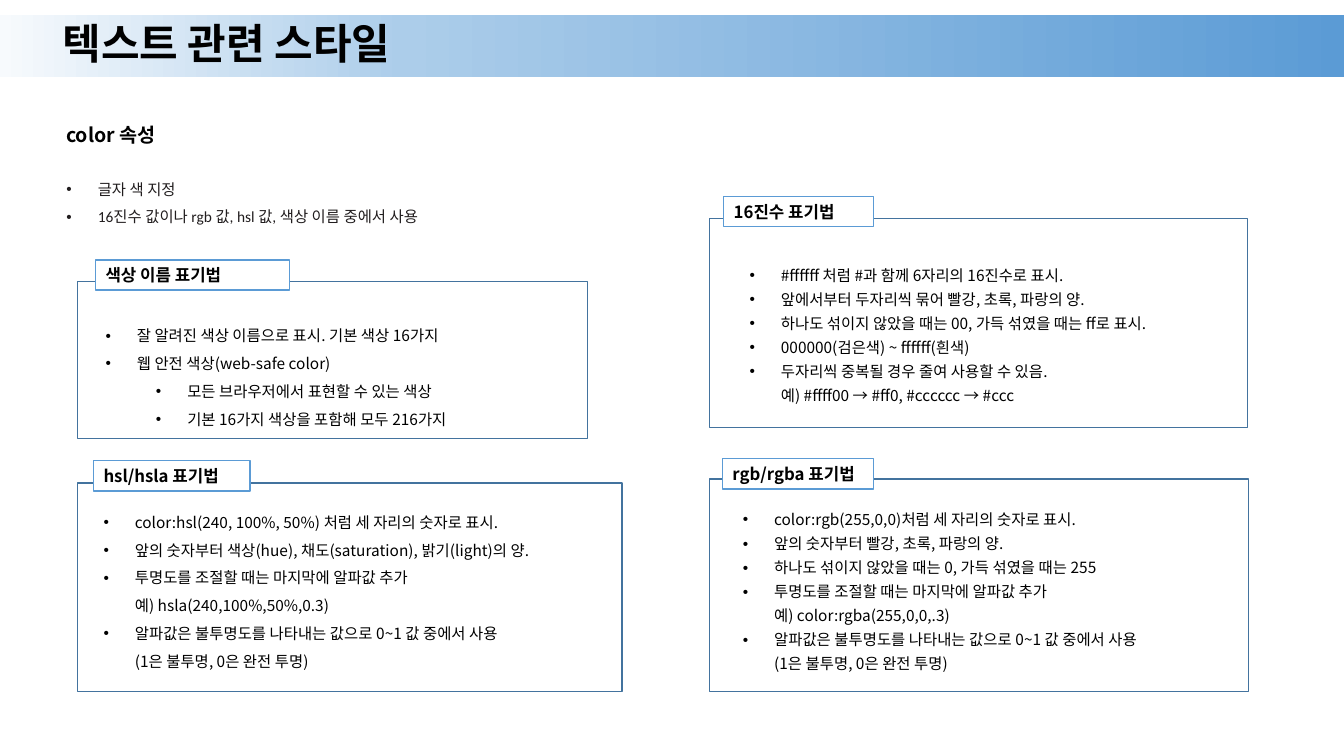
from copy import deepcopy

from lxml.etree import SubElement
from pptx import Presentation
from pptx.dml.color import RGBColor as Rgb
from pptx.enum.shapes import MSO_SHAPE as Shape
from pptx.enum.text import MSO_ANCHOR as Anchor, MSO_AUTO_SIZE as AutoSize, PP_ALIGN as Align
from pptx.oxml.ns import qn
from pptx.util import Cm, Pt

COLORS = {
    "text": "000000", "intro": "211D1E", "paper": "FFFFFF",
    "frame": "43739E", "label": "5B9BD5",
}
BAND_STOPS = [(0, "F7FAFD"), (0.3, "ACCDEA"), (1, "5B9BD5")]
KOREAN = "Noto Sans CJK KR"
INDENT, LEVEL_STEP = 0.79, 1.27

# Each panel: frame, label and list positions (cm), line spacing, wording
PANELS = [
    dict(frame=(17.88, 12.07, 13.59, 5.36), label=(18.21, 11.56, 3.81, 0.76),
         body=(18.47, 12.6, 12.78, 4.47), spacing=1.3, heading="rgb/rgba 표기법",
         items=["color:rgb(255,0,0)처럼 세 자리의 숫자로 표시.",
                "앞의 숫자부터 빨강, 초록, 파랑의 양.",
                "하나도 섞이지 않았을 때는 0, 가득 섞였을 때는 255",
                "투명도를 조절할 때는 마지막에 알파값 추가\n예) color:rgba(255,0,0,.3)",
                "알파값은 불투명도를 나타내는 값으로 0~1 값 중에서 사용\n(1은 불투명, 0은 완전 투명)"]),
    dict(frame=(1.96, 12.17, 13.72, 5.26), label=(2.36, 11.61, 3.94, 0.76),
         body=(2.36, 12.57, 13.72, 4.39), spacing=1.5, heading="hsl/hsla 표기법",
         items=["color:hsl(240, 100%, 50%) 처럼 세 자리의 숫자로 표시.",
                "앞의 숫자부터 색상(hue), 채도(saturation), 밝기(light)의 양.",
                "투명도를 조절할 때는 마지막에 알파값 추가\n예) hsla(240,100%,50%,0.3)",
                "알파값은 불투명도를 나타내는 값으로 0~1 값 중에서 사용\n(1은 불투명, 0은 완전 투명)"]),
    dict(frame=(17.88, 5.51, 13.56, 5.26), label=(18.24, 4.95, 3.78, 0.76),
         body=(18.64, 6.43, 12.52, 3.86), spacing=1.3, heading="16진수 표기법",
         items=["#ffffff 처럼 #과 함께 6자리의 16진수로 표시.",
                "앞에서부터 두자리씩 묶어 빨강, 초록, 파랑의 양.",
                "하나도 섞이지 않았을 때는 00, 가득 섞였을 때는 ff로 표시.",
                "000000(검은색) ~ ffffff(흰색)",
                "두자리씩 중복될 경우 줄여 사용할 수 있음.\n예) #ffff00 → #ff0, #cccccc → #ccc"]),
    dict(frame=(1.96, 7.09, 12.85, 3.96), label=(2.41, 6.55, 4.88, 0.76),
         body=(2.41, 7.87, 11.96, 2.95), spacing=1.5, heading="색상 이름 표기법",
         items=["잘 알려진 색상 이름으로 표시. 기본 색상 16가지",
                "웹 안전 색상(web-safe color)",
                ("모든 브라우저에서 표현할 수 있는 색상", 1),
                ("기본 16가지 색상을 포함해 모두 216가지", 1)]),
]


def write(para, text, size=11, font=KOREAN, color="text", bold=False, spacing=1.0, level=None):
    """Fill a paragraph; a level makes it a bulleted list item."""
    para.alignment = Align.LEFT
    para.line_spacing = spacing
    para.space_before = para.space_after = Pt(0)
    if level is not None:
        para.level = level
        props = para._p.get_or_add_pPr()
        props.set("marL", str(Cm(INDENT + level * LEVEL_STEP)))
        props.set("indent", str(-Cm(INDENT)))
        SubElement(props, qn("a:buFont"), typeface="Arial")
        SubElement(props, qn("a:buChar"), char="•")
    for number, line in enumerate(text.split("\n")):
        if number:
            para.add_line_break()
        span = para.add_run()
        span.text = line
        span.font.size, span.font.bold, span.font.name = Pt(size), bold, font
        span.font.color.rgb = Rgb.from_string(COLORS[color])
        SubElement(span._r.get_or_add_rPr(), qn("a:ea"), typeface=KOREAN)


class Page:
    """The current slide and the style of its elements."""

    def __init__(self, deck):
        self.slide = deck.slides.add_slide(deck.slide_layouts[1])
        self.shapes = self.slide.shapes

    def place(self, box, at):
        box.left, box.top, box.width, box.height = map(Cm, at)

    def band(self, at):
        band = self.shapes.add_shape(Shape.RECTANGLE, *map(Cm, at))
        band.shadow.inherit = False
        band.line.fill.background()
        band.fill.gradient()
        band.fill.gradient_angle = 0
        first = band.fill.gradient_stops[0]._gs
        first.addnext(deepcopy(first))
        for stop, (position, color) in zip(band.fill.gradient_stops, BAND_STOPS):
            stop.position = position
            stop.color.rgb = Rgb.from_string(color)
        self.shapes._spTree.insert(2, band._element)

    def title(self, at, text):
        title = self.shapes.title
        self.place(title, at)
        title.text_frame.auto_size = AutoSize.NONE
        title.text_frame.vertical_anchor = Anchor.MIDDLE
        write(title.text_frame.paragraphs[0], text, size=30, font="Arial", bold=True, spacing=0.9)

    def text_box(self, at, parent=None):
        box = (parent or self.shapes).add_textbox(*map(Cm, at))
        box.text_frame.word_wrap = True
        return box.text_frame

    def fill_list(self, frame, items, **style):
        for number, item in enumerate(items):
            text, level = item if isinstance(item, tuple) else (item, 0)
            para = frame.add_paragraph() if number else frame.paragraphs[0]
            write(para, text, level=level, **style)

    def intro(self, at, items):
        body = self.slide.placeholders[1]
        self.place(body, at)
        body.text_frame.auto_size = AutoSize.NONE
        self.fill_list(body.text_frame, items, font="Calibri", color="intro", spacing=1.5)

    def rectangle(self, parent, at, line, fill=None):
        box = parent.add_shape(Shape.RECTANGLE, *map(Cm, at))
        box.shadow.inherit = False
        box.line.color.rgb = Rgb.from_string(COLORS[line])
        box.line.width = Pt(1)
        if fill:
            box.fill.solid()
            box.fill.fore_color.rgb = Rgb.from_string(COLORS[fill])
        else:
            box.fill.background()
        return box

    def panel(self, frame, label, body, spacing, heading, items):
        group = self.shapes.add_group_shape().shapes
        self.rectangle(group, frame, "frame")
        tag = self.rectangle(group, label, "label", "paper").text_frame
        tag.vertical_anchor = Anchor.MIDDLE
        write(tag.paragraphs[0], heading, size=12, bold=True)
        self.fill_list(self.text_box(body, group), items, spacing=spacing)


def main():
    deck = Presentation()
    deck.slide_width, deck.slide_height = Cm(33.87), Cm(19.05)
    page = Page(deck)

    # Heading
    page.band((0, 0.38, 33.87, 1.56))
    page.title((1.32, 0.38, 25.25, 1.57), "텍스트 관련 스타일")

    # Introduction
    subtitle = page.text_box((1.42, 2.97, 6.65, 0.86))
    write(subtitle.paragraphs[0], "color 속성", size=14, bold=True)
    page.intro((1.42, 4.17, 13.72, 2.31),
               ["글자 색 지정", "16진수 값이나 rgb 값, hsl 값, 색상 이름 중에서 사용"])

    # Notation panels
    for panel in PANELS:
        page.panel(**panel)

    deck.save("out.pptx")


if __name__ == "__main__":
    main()
